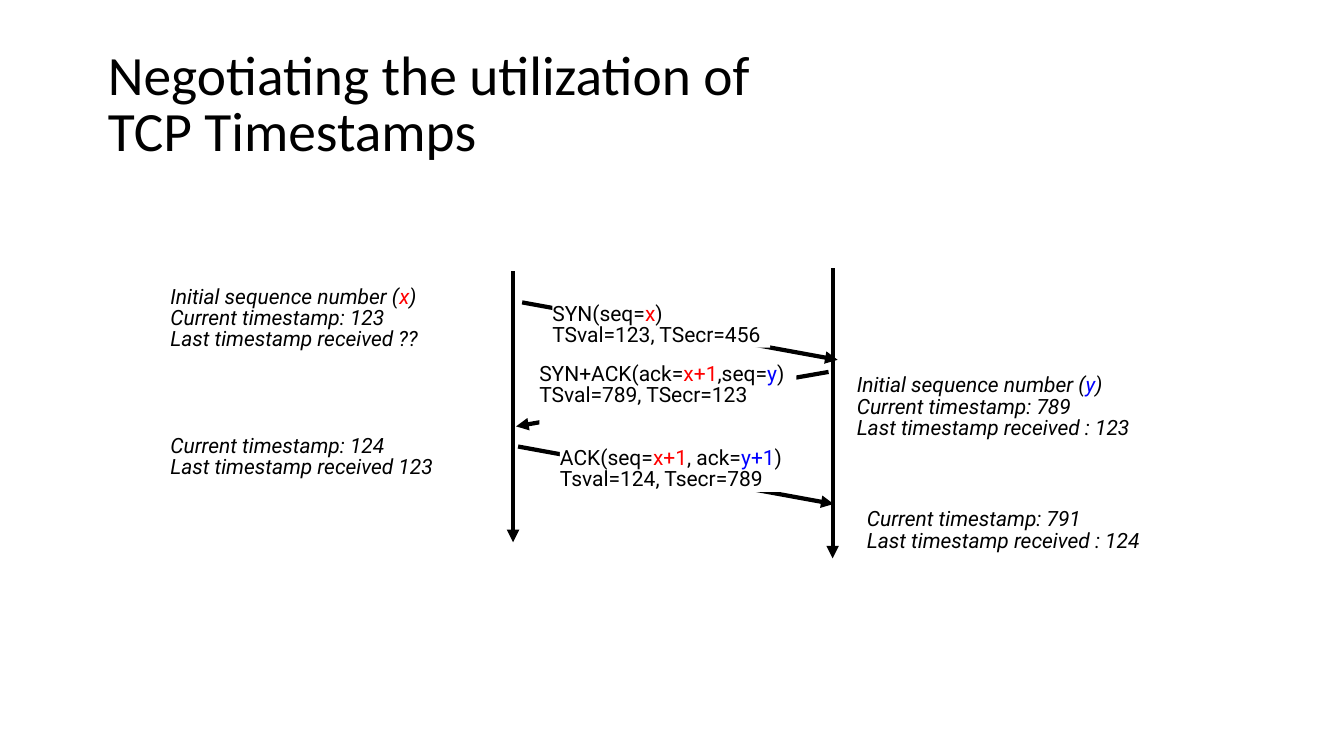
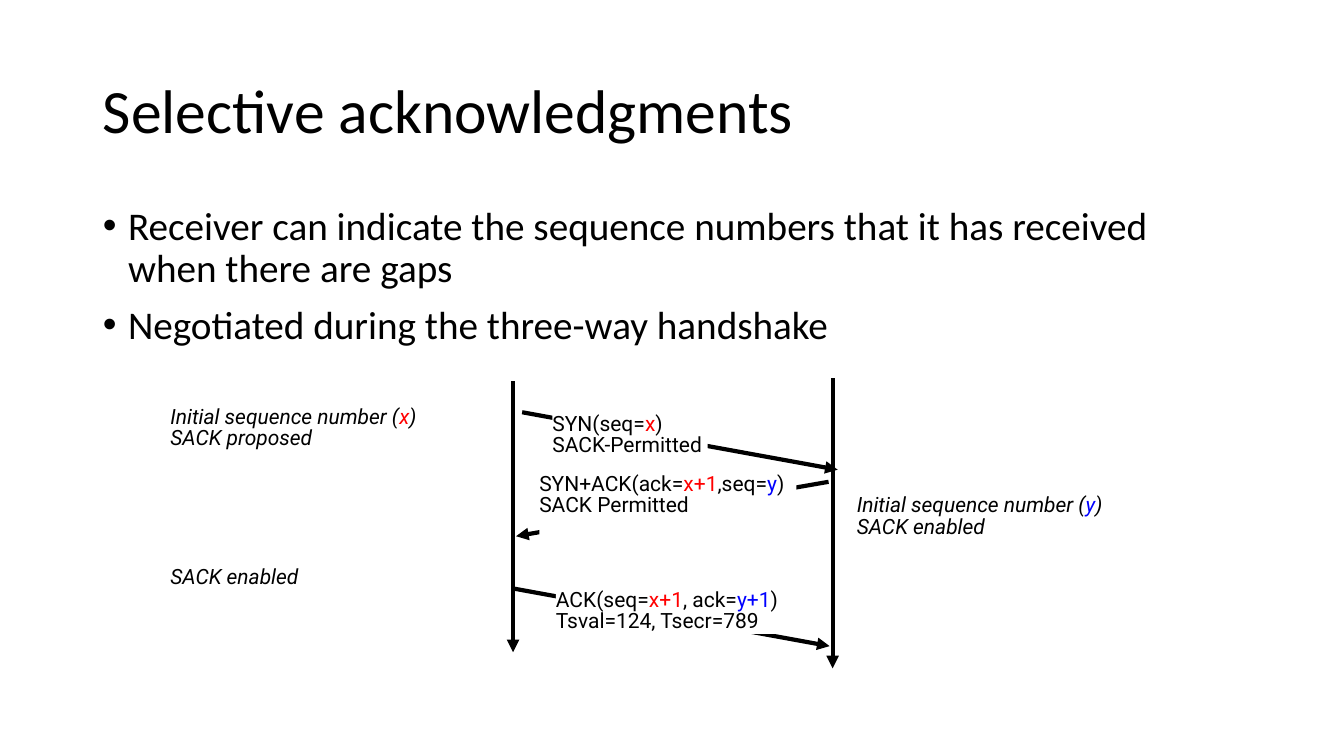
from lxml import etree
from pptx import Presentation
from pptx.dml.color import RGBColor
from pptx.enum.shapes import MSO_CONNECTOR, MSO_SHAPE
from pptx.enum.text import MSO_ANCHOR, MSO_AUTO_SIZE, PP_ALIGN
from pptx.oxml.ns import qn
from pptx.util import Inches, Pt

STRAIGHT = MSO_CONNECTOR.STRAIGHT
RECTANGLE = MSO_SHAPE.RECTANGLE
TOP, MIDDLE = MSO_ANCHOR.TOP, MSO_ANCHOR.MIDDLE
NO_AUTOFIT = MSO_AUTO_SIZE.NONE
LEFT = PP_ALIGN.LEFT

BLACK, WHITE, CLIENT_RED, SERVER_BLUE = "000000", "FFFFFF", "FF0000", "0000FF"
HEADING_FONT, DIAGRAM_FONT = "Calibri", "Roboto"
TITLE_ONLY, TITLE_AND_CONTENT = 5, 1

# All places are columns and rows of a grid with ten cells to the inch.
SLIDE_COLS, SLIDE_ROWS = 133.33, 75
CLIENT_COL, SERVER_COL = 34.1, 65.8
LEFT_NOTE_COL, RIGHT_NOTE_COL, NOTE_COLS = 0.1, 68.2, 30
LINE_ROWS = 2.13


def cells(n):
    return Inches(n / 10)


def rgb(hex_color):
    return RGBColor.from_string(hex_color)


def place(sp, left, top, width, height):
    sp.left, sp.top = cells(left), cells(top)
    sp.width, sp.height = cells(width), cells(height)


def style_run(r, font, size, color=BLACK, italic=False):
    r.font.name, r.font.size = font, Pt(size)
    r.font.color.rgb = rgb(color)
    r.font.italic = italic


def set_title(slide, text, box, size, spacing):
    sp = slide.shapes.title
    place(sp, *box)
    tf = sp.text_frame
    tf.text = text
    tf.word_wrap, tf.auto_size = True, NO_AUTOFIT
    tf.vertical_anchor = MIDDLE
    p = tf.paragraphs[0]
    p.alignment, p.line_spacing = LEFT, spacing
    for r in p.runs:
        style_run(r, HEADING_FONT, size)


def set_bullets(slide, lines, box):
    sp = slide.placeholders[1]
    place(sp, *box)
    tf = sp.text_frame
    tf.text = "\n".join(lines)
    tf.auto_size, tf.vertical_anchor = NO_AUTOFIT, TOP
    for p in tf.paragraphs:
        p.line_spacing, p.space_before = 0.9, Pt(10)
        pPr = p._p.get_or_add_pPr()
        pPr.set("marL", str(Inches(0.25)))
        pPr.set("indent", str(-Inches(0.25)))
        etree.SubElement(pPr, qn("a:buFont")).set("typeface", "Arial")
        etree.SubElement(pPr, qn("a:buChar")).set("char", "•")
        style_run(p.runs[0], HEADING_FONT, 28)


def add_arrow(slide, x1, y1, x2, y2):
    line = slide.shapes.add_connector(
        STRAIGHT, cells(x1), cells(y1), cells(x2), cells(y2))
    line.line.color.rgb, line.line.width = rgb(BLACK), Pt(3)
    spPr = line._element.spPr
    etree.SubElement(spPr.find(qn("a:ln")), qn("a:tailEnd")).set("type", "triangle")
    etree.SubElement(spPr, qn("a:effectLst"))


def write_lines(sp, lines, italic=False):
    """Write lines in which *...* marks a coloured sequence number."""
    tf = sp.text_frame
    tf.margin_left = tf.margin_right = tf.margin_top = tf.margin_bottom = 0
    tf.word_wrap, tf.vertical_anchor = True, TOP
    tf.text = "\n".join("" for _ in lines)
    for p, line in zip(tf.paragraphs, lines):
        p.alignment, p.line_spacing = LEFT, 0.84
        for i, piece in enumerate(line.split("*")):
            color = BLACK
            if i % 2:
                color = CLIENT_RED if "x" in piece else SERVER_BLUE
            r = p.add_run()
            r.text = piece
            style_run(r, DIAGRAM_FONT, 15, color, italic)


def add_message(slide, start, span, drop, label, lines):
    """Draw an arrow from start, with a label (left, top, width, height) over it."""
    x, y = start
    add_arrow(slide, x, y, x + span, y + drop)
    sp = slide.shapes.add_shape(RECTANGLE, *map(cells, label))
    sp.shadow.inherit = False
    sp.fill.solid()
    sp.fill.fore_color.rgb = rgb(WHITE)
    sp.line.fill.background()
    write_lines(sp, lines)


def add_handshake(slide, origin, syn, syn_ack, ack, left_notes, right_notes):
    """Draw a three-way handshake; the parts are placed relative to origin."""
    x, y = origin
    add_arrow(slide, x + CLIENT_COL, y + 0.3, x + CLIENT_COL, y + 27.2)
    add_arrow(slide, x + SERVER_COL, y, x + SERVER_COL, y + 28.8)

    syn_width, syn_lines = syn
    add_message(slide, (x + 35, y + 3.4), 31.3, 5.7,
                (x + 38, y + 3.6, syn_width, 4.3), syn_lines)
    add_message(slide, (x + 65.4, y + 10.3), -31, 5.4,
                (x + 36.7, y + 9.6, 25.5, 6.4), syn_ack)
    ack_col, ack_row = x + ack[0], y + ack[1]
    add_message(slide, (ack_col, ack_row), 31.3, 5.7,
                (ack_col + 4.15, ack_row + 0.2, 22.9, 4.3),
                ["ACK(seq=*x+1*, ack=*y+1*)", "Tsval=124, Tsecr=789"])

    for col, notes in ((LEFT_NOTE_COL, left_notes), (RIGHT_NOTE_COL, right_notes)):
        for shift, row, lines in notes:
            sp = slide.shapes.add_textbox(
                cells(x + col + shift), cells(y + row),
                cells(NOTE_COLS), cells(LINE_ROWS * len(lines)))
            write_lines(sp, lines, italic=True)


def timestamps_slide(prs):
    slide = prs.slides.add_slide(prs.slide_layouts[TITLE_ONLY])
    set_title(slide, "Negotiating the utilization of \vTCP Timestamps",
              (9.7, 3.9, 103.8, 13.3), 39.6, 0.84)
    add_handshake(
        slide, (16.8, 26.6),
        syn=(21.6, ["SYN(seq=*x*)", "TSval=123, TSecr=456"]),
        syn_ack=["SYN+ACK(ack=*x+1*,seq=*y*)", "TSval=789, TSecr=123"],
        ack=(34.6, 17.7),
        left_notes=[
            (0, 1.9, ["Initial sequence number (*x*)", "Current timestamp: 123",
                      "Last timestamp received ??"]),
            (0, 16.7, ["Current timestamp: 124", "Last timestamp received 123"])],
        right_notes=[
            (0, 10.7, ["Initial sequence number (*y*)", "Current timestamp: 789",
                       "Last timestamp received : 123"]),
            (1, 24, ["Current timestamp: 791", "Last timestamp received : 124"])])


def selective_ack_slide(prs):
    slide = prs.slides.add_slide(prs.slide_layouts[TITLE_AND_CONTENT])
    set_title(slide, "Selective acknowledgments", (9.2, 4, 115, 14.5), 44, 0.9)
    set_bullets(slide, [
        "Receiver can indicate the sequence numbers that it has received "
        "when there are gaps",
        "Negotiated during the three-way handshake"], (9.2, 20, 115, 47.6))
    add_handshake(
        slide, (16.8, 37.5),
        syn=(15.4, ["SYN(seq=*x*)", "SACK-Permitted"]),
        syn_ack=["SYN+ACK(ack=*x+1*,seq=*y*)", "SACK Permitted"],
        ack=(34.2, 20.9),
        left_notes=[(0, 2.9, ["Initial sequence number (*x*)", "SACK proposed"]),
                    (0, 18.8, ["SACK enabled"])],
        right_notes=[(0, 11.7, ["Initial sequence number (*y*)", "SACK enabled"])])


def main():
    prs = Presentation()
    prs.slide_width, prs.slide_height = cells(SLIDE_COLS), cells(SLIDE_ROWS)
    timestamps_slide(prs)
    selective_ack_slide(prs)
    prs.save("out.pptx")


if __name__ == "__main__":
    main()
